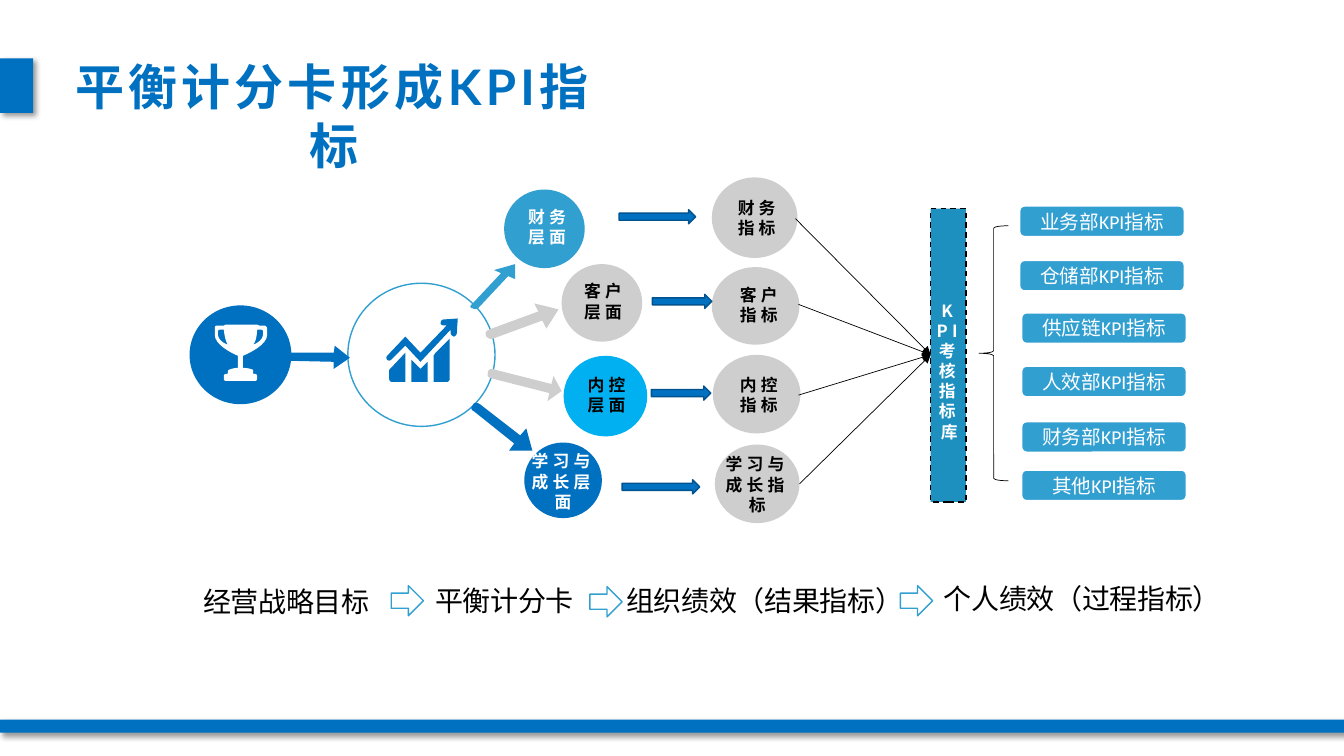
from lxml import etree
from pptx import Presentation
from pptx.dml.color import RGBColor
from pptx.enum.dml import MSO_LINE
from pptx.enum.shapes import MSO_CONNECTOR, MSO_SHAPE
from pptx.enum.text import MSO_ANCHOR, MSO_AUTO_SIZE, PP_ALIGN
from pptx.oxml.ns import qn
from pptx.util import Inches, Pt

RECTANGLE, ELLIPSE = MSO_SHAPE.RECTANGLE, MSO_SHAPE.OVAL
ROUNDED, ARROW, BRACE = MSO_SHAPE.ROUNDED_RECTANGLE, MSO_SHAPE.RIGHT_ARROW, MSO_SHAPE.LEFT_BRACE
STRAIGHT, DASH = MSO_CONNECTOR.STRAIGHT, MSO_LINE.DASH
CENTER, TOP, MIDDLE = PP_ALIGN.CENTER, MSO_ANCHOR.TOP, MSO_ANCHOR.MIDDLE
NO_AUTOFIT = MSO_AUTO_SIZE.NONE

BLUE = RGBColor(0x00, 0x70, 0xC0)
DARK_BLUE = RGBColor(0x00, 0x53, 0x8E)
LIGHT_BLUE = RGBColor(0x32, 0x9F, 0xD1)
CYAN = RGBColor(0x00, 0xB0, 0xF0)
TEAL = RGBColor(0x1D, 0x90, 0xC0)
GRAY = RGBColor(0xCE, 0xCE, 0xCE)
BLACK = RGBColor(0x00, 0x00, 0x00)
WHITE = RGBColor(0xFF, 0xFF, 0xFF)
CHINESE_FONT = "Noto Sans CJK SC"


def write_text(shape, text, size=12, color=BLACK, font=CHINESE_FONT, bold=False,
               spacing=0, anchor=MIDDLE, margin=None):
    frame = shape.text_frame
    frame.word_wrap = True
    frame.auto_size = NO_AUTOFIT
    frame.vertical_anchor = anchor
    if margin is not None:
        frame.margin_left = frame.margin_right = Inches(margin)
        frame.margin_top = frame.margin_bottom = Inches(margin)
    for index, line in enumerate(text.split("\n")):
        paragraph = frame.paragraphs[0] if index == 0 else frame.add_paragraph()
        paragraph.alignment = CENTER
        run = paragraph.add_run()
        run.text = line
        run.font.name, run.font.size, run.font.bold = font, Pt(size), bold
        run.font.color.rgb = color
        properties = run._r.get_or_add_rPr()
        properties.set("spc", str(round(spacing * 100)))
        east_asian = etree.Element(qn("a:ea"), typeface=CHINESE_FONT)
        properties.find(qn("a:latin")).addnext(east_asian)


def trace(contour):
    """Turn points and (control, control, end) curves into plain points."""
    points = []
    for step in contour:
        if len(step) == 2:
            points.append(step)
            continue
        x0, y0 = points[-1]
        x1, y1, x2, y2, x3, y3 = step
        for t in (i / 8 for i in range(1, 9)):
            a, b, c, d = (1 - t) ** 3, 3 * t * (1 - t) ** 2, 3 * t * t * (1 - t), t ** 3
            points.append((a * x0 + b * x1 + c * x2 + d * x3,
                           a * y0 + b * y1 + c * y2 + d * y3))
    return [(Inches(x), Inches(y)) for x, y in points]


class Board:
    def __init__(self, slide):
        self.slide = slide
        self.shapes = slide.shapes

    def title(self, text, box):
        title = self.shapes.title
        title.left, title.top, title.width, title.height = map(Inches, box)
        write_text(title, text, size=35, color=BLUE, font="Lato", bold=True, spacing=3, anchor=TOP)

    def paint(self, shape, fill, line=None, width=1):
        shape.shadow.inherit = False
        if fill is None:
            shape.fill.background()
        else:
            shape.fill.solid()
            shape.fill.fore_color.rgb = fill
        if line is None:
            shape.line.fill.background()
        else:
            shape.line.color.rgb = line
            shape.line.width = Pt(width)
        return shape

    def shape(self, kind, box, fill, line=None, width=1):
        return self.paint(self.shapes.add_shape(kind, *map(Inches, box)), fill, line, width)

    def bar(self, box):
        effects = self.shape(RECTANGLE, box, BLUE)._element.spPr.find(qn("a:effectLst"))
        shadow = etree.SubElement(effects, qn("a:outerShdw"), blurRad=str(Pt(4)),
                                  dist=str(Pt(3)), dir=str(45 * 60000), algn="tl", rotWithShape="0")
        color = etree.SubElement(shadow, qn("a:srgbClr"), val="000000")
        etree.SubElement(color, qn("a:alpha"), val="40000")

    def label(self, text, box, fill=None, **style):
        textbox = self.shapes.add_textbox(*map(Inches, box))
        if fill is not None:
            textbox.fill.solid()
            textbox.fill.fore_color.rgb = fill
        write_text(textbox, text, margin=0, **style)

    def outline(self, contours, fill):
        first, *others = [trace(contour) for contour in contours]
        builder = self.shapes.build_freeform(*first[0], scale=1.0)
        builder.add_line_segments(first[1:])
        for points in others:
            builder.move_to(*points[0])
            builder.add_line_segments(points[1:])
        self.paint(builder.convert_to_shape(), fill)

    def connector(self, start, end):
        line = self.shapes.add_connector(STRAIGHT, *map(Inches, start + end))
        line.line.color.rgb = BLACK
        line.line.width = Pt(0.5)
        etree.SubElement(line.line._get_or_add_ln(), qn("a:tailEnd"), type="triangle")
        etree.SubElement(line._element.spPr, qn("a:effectLst"))


# Block arrows: shaft, head and a rounded tail
BLOCK_ARROWS = [
    (LIGHT_BLUE, [(4.68, 3.02), (4.97, 2.71), (4.9, 2.68), (5.11, 2.62), (5.11, 2.77),
                  (5.04, 2.74), (4.75, 3.05), (4.73, 3.07, 4.71, 3.07, 4.69, 3.06),
                  (4.66, 3.06, 4.66, 3.03, 4.68, 3.02)]),
    (BLUE, [(2.82, 3.54), (2.83, 3.52, 2.85, 3.5, 2.87, 3.5), (3.31, 3.5), (3.32, 3.43),
            (3.47, 3.55), (3.31, 3.66), (3.31, 3.59), (2.86, 3.58),
            (2.84, 3.58, 2.82, 3.56, 2.82, 3.54)]),
    (GRAY, [(4.84, 3.7), (4.83, 3.72, 4.84, 3.74, 4.86, 3.75), (5.45, 3.9), (5.43, 3.98),
            (5.57, 3.88), (5.49, 3.73), (5.47, 3.81), (4.88, 3.66),
            (4.86, 3.66, 4.84, 3.67, 4.84, 3.7)]),
    (BLUE, [(4.7, 4.08), (5.1, 4.4), (5.05, 4.47), (5.28, 4.47), (5.22, 4.25), (5.16, 4.32),
            (4.76, 4.01), (4.73, 3.99, 4.7, 3.99, 4.69, 4.02),
            (4.67, 4.04, 4.67, 4.07, 4.7, 4.08)]),
    (GRAY, [(4.82, 3.33), (4.83, 3.35, 4.86, 3.37, 4.89, 3.36), (5.38, 3.18), (5.42, 3.26),
            (5.54, 3.07), (5.3, 3.01), (5.34, 3.09), (4.85, 3.27),
            (4.82, 3.28, 4.81, 3.31, 4.82, 3.33)]),
]
GROWTH_ICON = [
    [(4.08, 3.57), (4.08, 3.79), (4.24, 3.79), (4.24, 3.59), (4.17, 3.66)],
    [(3.86, 3.76), (3.86, 3.77, 3.87, 3.79, 3.89, 3.79), (4.02, 3.79), (4.02, 3.5), (3.86, 3.67)],
    [(4.4, 3.17), (4.38, 3.17, 4.37, 3.19, 4.37, 3.21), (4.37, 3.22, 4.39, 3.23, 4.4, 3.23),
     (4.43, 3.23), (4.17, 3.5), (4.02, 3.34), (3.84, 3.53), (3.83, 3.54, 3.83, 3.56, 3.84, 3.57),
     (3.85, 3.58, 3.87, 3.58, 3.88, 3.57), (4.02, 3.43), (4.17, 3.59), (4.47, 3.27), (4.47, 3.3),
     (4.47, 3.32, 4.48, 3.33, 4.5, 3.34), (4.51, 3.34, 4.53, 3.32, 4.53, 3.31), (4.54, 3.16)],
    [(4.3, 3.53), (4.3, 3.79), (4.43, 3.79), (4.45, 3.79, 4.46, 3.77, 4.46, 3.76),
     (4.46, 3.36), (4.32, 3.5)],
]
TROPHY_ICON = [
    [(2.62, 3.23), (2.57, 3.23), (2.55, 3.22), (2.24, 3.22), (2.22, 3.23), (2.15, 3.23),
     (2.14, 3.23, 2.13, 3.24, 2.13, 3.26), (2.13, 3.32), (2.13, 3.42, 2.29, 3.5, 2.36, 3.53),
     (2.36, 3.65), (2.36, 3.65, 2.31, 3.65, 2.27, 3.67), (2.26, 3.68), (2.26, 3.7),
     (2.26, 3.71, 2.25, 3.71, 2.24, 3.71), (2.23, 3.71, 2.22, 3.72, 2.22, 3.73), (2.22, 3.76),
     (2.22, 3.77, 2.23, 3.78, 2.24, 3.78), (2.53, 3.78), (2.54, 3.78, 2.55, 3.77, 2.55, 3.76),
     (2.55, 3.73), (2.55, 3.72, 2.54, 3.71, 2.53, 3.71), (2.52, 3.71, 2.51, 3.71, 2.51, 3.7),
     (2.51, 3.68), (2.51, 3.67), (2.47, 3.65, 2.41, 3.65, 2.41, 3.65), (2.41, 3.53),
     (2.48, 3.5, 2.65, 3.42, 2.65, 3.32), (2.65, 3.26), (2.65, 3.24, 2.63, 3.23, 2.62, 3.23)],
    [(2.16, 3.31), (2.16, 3.29), (2.16, 3.28, 2.17, 3.27, 2.18, 3.27), (2.22, 3.27),
     (2.22, 3.27, 2.23, 3.38, 2.26, 3.42), (2.26, 3.42, 2.16, 3.39, 2.16, 3.31)],
    [(2.61, 3.31), (2.61, 3.39, 2.51, 3.42, 2.51, 3.42), (2.55, 3.38, 2.55, 3.27, 2.55, 3.27),
     (2.59, 3.27), (2.6, 3.27, 2.61, 3.28, 2.61, 3.29)],
]
# Circle, fill, label box, text, text colour
CIRCLES = [
    ((5, 1.88, 0.8, 0.78), LIGHT_BLUE, (4.98, 2.05, 0.89, 0.4), "财务\n层面", WHITE),
    ((5.57, 2.62, 0.8, 0.77), GRAY, (5.62, 2.79, 0.72, 0.4), "客户\n层面", BLACK),
    ((5.59, 3.53, 0.83, 0.8), CYAN, (5.68, 3.72, 0.67, 0.4), "内控\n层面", BLACK),
    ((5.2, 4.39, 0.77, 0.75), BLUE, (5.25, 4.47, 0.67, 0.61), "学习与成长层面", WHITE),
    ((7.06, 1.76, 0.85, 0.8), GRAY, (7.12, 1.96, 0.77, 0.4), "财务\n指标", BLACK),
    ((7.06, 2.65, 0.87, 0.77), GRAY, (7.13, 2.82, 0.79, 0.4), "客户\n指标", BLACK),
    ((7.07, 3.52, 0.87, 0.78), GRAY, (7.13, 3.72, 0.79, 0.4), "内控\n指标", BLACK),
    ((7.09, 4.41, 0.84, 0.78), GRAY, (7.13, 4.5, 0.76, 0.61), "学习与成长指标", BLACK),
]
DEPARTMENTS = [("业务部", 10.11, 2.04), ("仓储部", 10.11, 2.58), ("供应链", 10.13, 3.1),
               ("人效部", 10.13, 3.63), ("财务部", 10.13, 4.18), ("其他", 10.13, 4.66)]
STAGES = [("经营战略目标", 1.71, 5.8, 2.26), ("平衡计分卡", 3.58, 5.79, 2.85),
          ("组织绩效（结果指标）", 5.61, 5.79, 3.95), ("个人绩效（过程指标）", 8.76, 5.77, 3.95)]


def main():
    presentation = Presentation()
    presentation.slide_width, presentation.slide_height = Inches(13.33), Inches(7.5)
    board = Board(presentation.slides.add_slide(presentation.slide_layouts[5]))

    # Bars and title
    board.bar((0, 7.14, 13.33, 0.13))
    board.bar((0, 0.58, 0.33, 0.54))
    board.title("平衡计分卡形成KPI指标", (0.41, 0.51, 5.8, 0.69))

    # Goal, scorecard and the arrows between them
    board.shape(ELLIPSE, (3.45, 2.81, 1.46, 1.42), WHITE, LIGHT_BLUE)
    for fill, contour in BLOCK_ARROWS:
        board.outline([contour], fill)
    board.outline(GROWTH_ICON, BLUE)
    board.shape(ELLIPSE, (1.88, 3.03, 1.01, 0.98), BLUE)
    board.outline(TROPHY_ICON, WHITE)

    # Perspectives and their indicators
    for circle, fill, box, text, color in CIRCLES:
        board.shape(ELLIPSE, circle, fill)
        board.label(text, box, fill=CYAN if fill == CYAN else None,
                    color=color, bold=True, spacing=3)
    for left, top, width in [(6.14, 2.08, 0.76), (6.47, 2.92, 0.59),
                             (6.46, 3.83, 0.59), (6.17, 4.76, 0.77)]:
        board.shape(ARROW, (left, top, width, 0.14), BLUE, DARK_BLUE)

    # Indicator library and departments
    library = board.shape(RECTANGLE, (9.23, 2.07, 0.35, 2.91), TEAL, BLACK)
    library.line.dash_style = DASH
    board.label("KPI考核指标库", (9.27, 3.13, 0.29, 1.1), color=WHITE, bold=True, spacing=3)
    for name, left, top in DEPARTMENTS:
        button = board.shape(ROUNDED, (left, top, 1.64, 0.31), LIGHT_BLUE, WHITE, 1.5)
        write_text(button, name + "KPI指标", size=14, color=WHITE, font="Calibri")
    board.shape(BRACE, (9.71, 2.24, 0.29, 2.53), None, BLACK, 0.5)
    for start in [(7.89, 2.17), (7.92, 3.02), (7.92, 3.92), (7.93, 4.8)]:
        board.connector(start, (9.23, 3.52))

    # Process line
    for text, left, top, width in STAGES:
        board.label(text, (left, top, width, 0.34), size=20, spacing=-0.3)
    for left, top in [(3.88, 5.81), (5.85, 5.82), (8.93, 5.81)]:
        board.shape(ARROW, (left, top, 0.32, 0.3), WHITE, LIGHT_BLUE)

    presentation.save("out.pptx")


if __name__ == "__main__":
    main()
